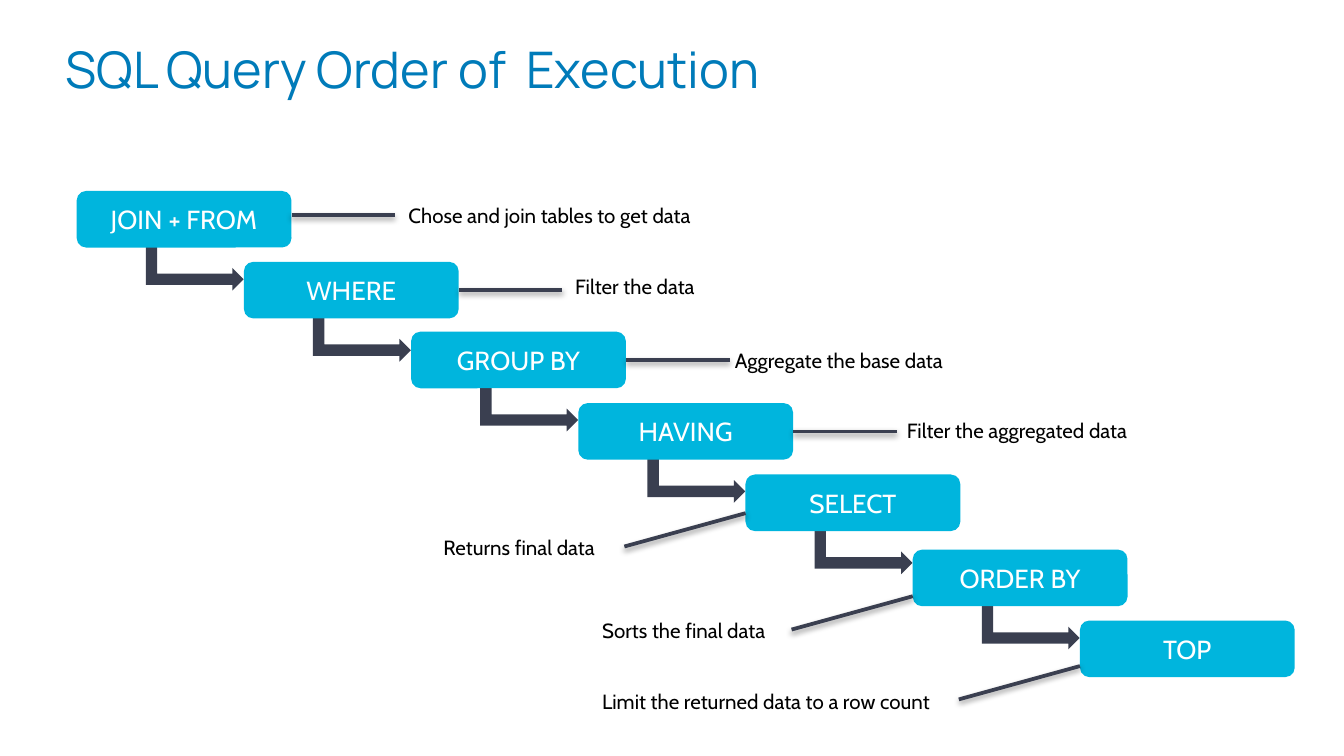
from dataclasses import dataclass

from lxml import etree
from pptx import Presentation
from pptx import util as u
from pptx.dml.color import RGBColor
from pptx.enum import shapes, text
from pptx.oxml import parse_xml
from pptx.util import Cm


@dataclass(frozen=True)
class Theme:
    title_color: RGBColor = RGBColor(0x00, 0x7B, 0xB9)
    box_color: RGBColor = RGBColor(0x00, 0xB5, 0xDD)
    line_color: RGBColor = RGBColor(0x3A, 0x3F, 0x50)
    box_text: RGBColor = RGBColor(0xFF, 0xFF, 0xFF)
    note_text: RGBColor = RGBColor(0x00, 0x00, 0x00)
    title_font: str = "Manrope"
    body_font: str = "Cabin"
    title_size: float = 27
    box_size: float = 14
    note_size: float = 11
    line_width: float = 2


THEME = Theme()

BOX_LEFT, BOX_STEP = 1.45, 3.16
BOX_WIDTH, BOX_HEIGHT = 4.06, 1.07
ARROW_WIDTH, ARROW_HEIGHT = 0.86, 1.85
RIGHT_REACH, LEFT_REACH, LEFT_DROP = 1.96, 2.29, 0.63
NOTE_HEIGHT = 0.74

# label, box top, note, note (left, top, width), side and line start below box top
STEPS = [
    ("JOIN + FROM", 3.61, "Chose and join tables to get data", (7.47, 3.71, 7.49), "right", 0.46),
    ("WHERE", 4.95, "Filter the data", (10.62, 5.05, 3.81), "right", BOX_HEIGHT / 2),
    ("GROUP BY", 6.27, "Aggregate the base data", (13.64, 6.45, 5.08), "right", BOX_HEIGHT / 2),
    ("HAVING", 7.62, "Filter the aggregated data", (16.89, 7.77, 7.11), "right", BOX_HEIGHT / 2),
    ("SELECT", 8.97, "Returns final data", (8.13, 9.98, 3.68), "left", 0.73),
    ("ORDER BY", 10.39, "Sorts the final data", (11.13, 11.56, 3.86), "left", 0.88),
    ("TOP", 11.73, "Limit the returned data to a row count", (11.13, 12.9, 7.01), "left", 0.86),
]

SHADOW = (
    '<a:effectLst xmlns:a="http://schemas.openxmlformats.org/drawingml/2006/main">'
    '<a:outerShdw blurRad="39400" dist="20300" dir="5400000" rotWithShape="0">'
    '<a:srgbClr val="000000"><a:alpha val="38000"/></a:srgbClr>'
    "</a:outerShdw></a:effectLst>"
)


def set_text(frame, wording, font, size, color, alignment):
    frame.text = wording
    frame.word_wrap = True
    paragraph = frame.paragraphs[0]
    paragraph.alignment = alignment
    run_font = paragraph.runs[0].font
    for name, value in {"name": font, "size": u.Pt(size), "bold": False}.items():
        setattr(run_font, name, value)
    run_font.color.rgb = color


def add_title(slide, wording):
    title = slide.shapes.title
    place = {"left": Cm(1.24), "top": Cm(0.94), "width": Cm(15.67), "height": Cm(3)}
    for name, value in place.items():
        setattr(title, name, value)
    frame = title.text_frame
    set_text(frame, wording, THEME.title_font, THEME.title_size,
             THEME.title_color, text.PP_ALIGN.LEFT)
    layout = {"margin_left": 0, "margin_top": 0, "margin_right": 0, "margin_bottom": 0,
              "vertical_anchor": text.MSO_ANCHOR.TOP, "auto_size": text.MSO_AUTO_SIZE.NONE}
    for name, value in layout.items():
        setattr(frame, name, value)
    frame.paragraphs[0].line_spacing = 0.8


def add_filled(slide, kind, left, top, width, height, color):
    shape = slide.shapes.add_shape(kind, Cm(left), Cm(top), Cm(width), Cm(height))
    shape.shadow.inherit = False
    shape.fill.solid()
    shape.fill.fore_color.rgb = color
    shape.line.fill.background()
    return shape


def add_step_arrow(slide, left, top):
    """Bent arrow leading from the box at left, top to the next one."""
    arrow = add_filled(slide, shapes.MSO_SHAPE.BENT_UP_ARROW, left + 1.8, top + 0.53,
                       ARROW_WIDTH, ARROW_HEIGHT, THEME.line_color)
    arrow.rotation = 90


def add_box(slide, label, left, top):
    box = add_filled(slide, shapes.MSO_SHAPE.ROUNDED_RECTANGLE, left, top,
                     BOX_WIDTH, BOX_HEIGHT, THEME.box_color)
    set_text(box.text_frame, label, THEME.body_font, THEME.box_size,
             THEME.box_text, text.PP_ALIGN.CENTER)
    box.text_frame.vertical_anchor = text.MSO_ANCHOR.MIDDLE
    return box


def add_note(slide, wording, left, top, width):
    note = slide.shapes.add_textbox(Cm(left), Cm(top), Cm(width), Cm(NOTE_HEIGHT))
    set_text(note.text_frame, wording, THEME.body_font, THEME.note_size,
             THEME.note_text, text.PP_ALIGN.LEFT)
    note.text_frame.auto_size = text.MSO_AUTO_SIZE.SHAPE_TO_FIT_TEXT


def add_note_line(slide, box, left, top, side, offset):
    """Line from a box towards its note, joined where it meets the side's middle."""
    y = top + offset
    if side == "right":
        start = left + BOX_WIDTH
        ends = (start, y, start + RIGHT_REACH, y)
    else:
        ends = (left - LEFT_REACH, y + LEFT_DROP, left, y)
    line = slide.shapes.add_connector(shapes.MSO_CONNECTOR.STRAIGHT, *map(Cm, ends))
    if offset == BOX_HEIGHT / 2:
        line.begin_connect(box, 3)
    line.line.color.rgb = THEME.line_color
    line.line.width = u.Pt(THEME.line_width)
    line._element.spPr.append(parse_xml(SHADOW))


def main():
    presentation = Presentation()
    presentation.slide_width, presentation.slide_height = Cm(25.4), Cm(14.29)
    slide = presentation.slides.add_slide(presentation.slide_layouts[5])
    add_title(slide, "SQL Query Order of  Execution")
    for index, (label, top, note, note_place, side, offset) in enumerate(STEPS):
        left = BOX_LEFT + index * BOX_STEP
        if index < len(STEPS) - 1:
            add_step_arrow(slide, left, top)
        box = add_box(slide, label, left, top)
        add_note(slide, note, *note_place)
        add_note_line(slide, box, left, top, side, offset)
    presentation.save("out.pptx")


if __name__ == "__main__":
    main()
